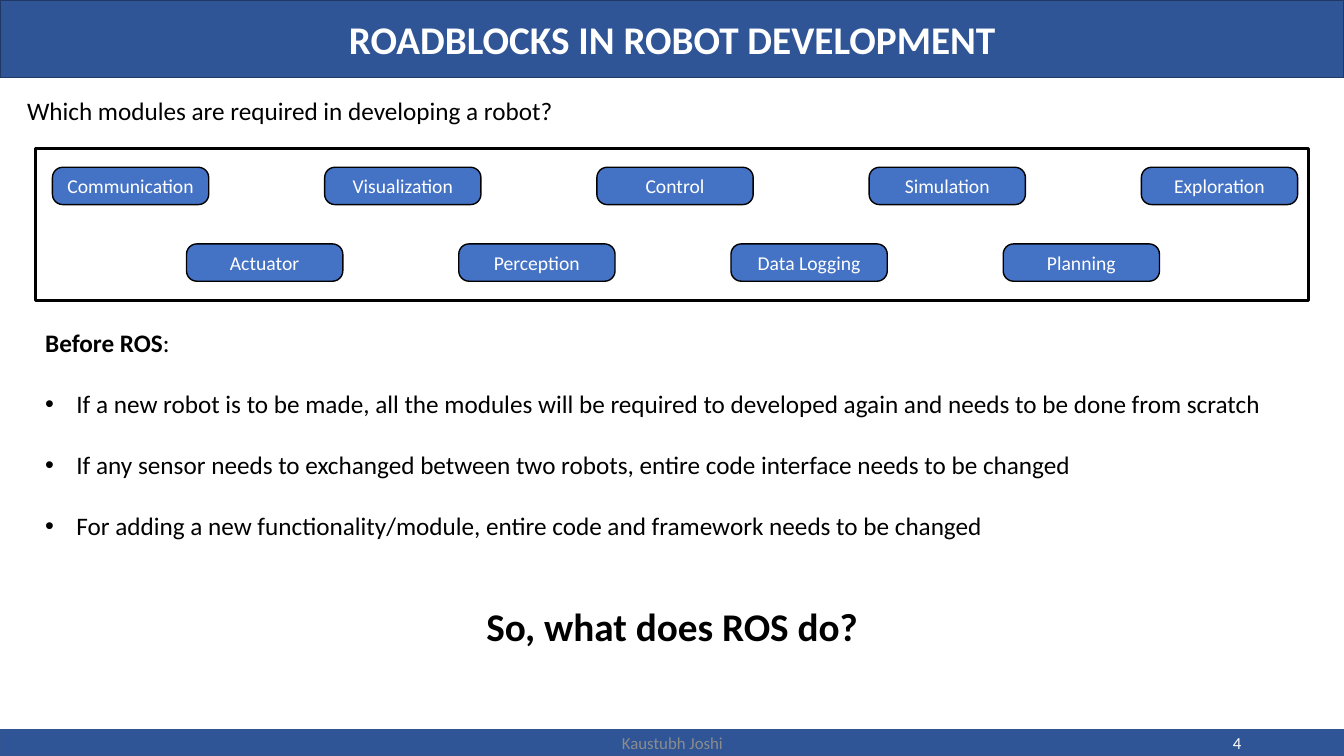
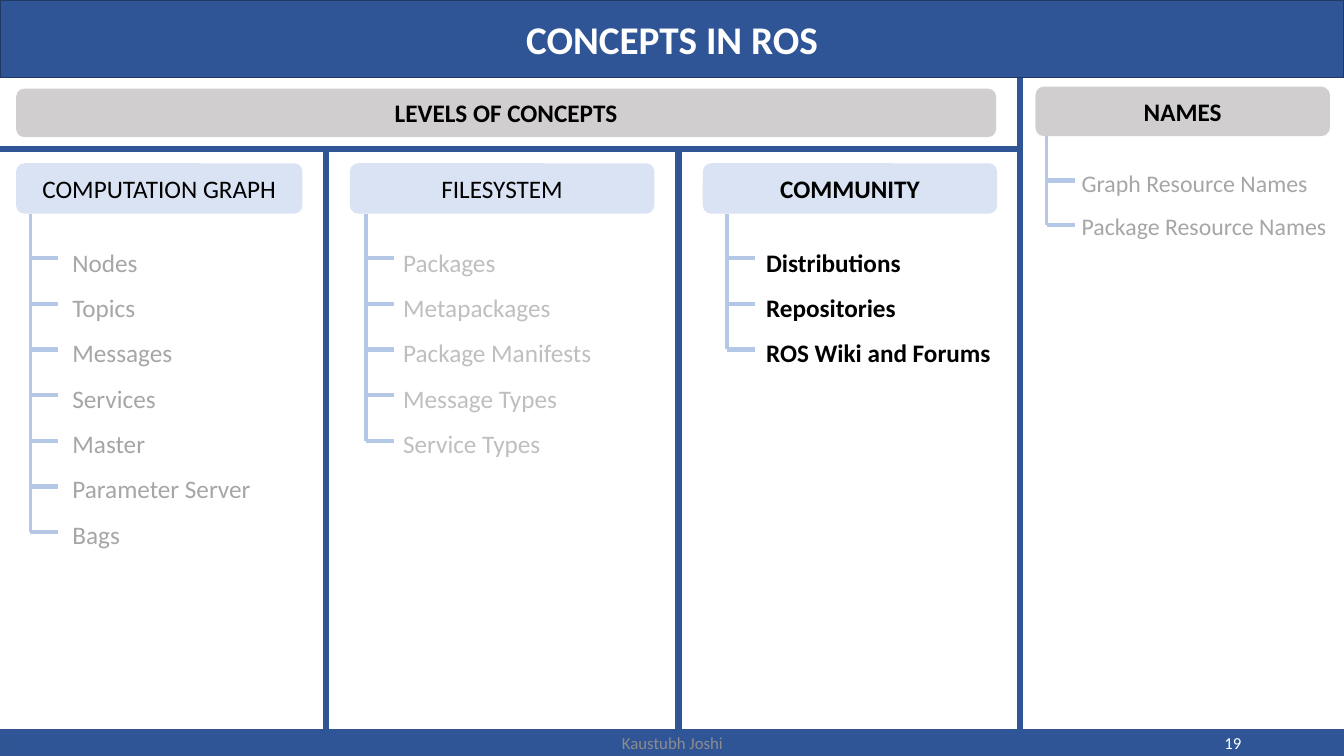
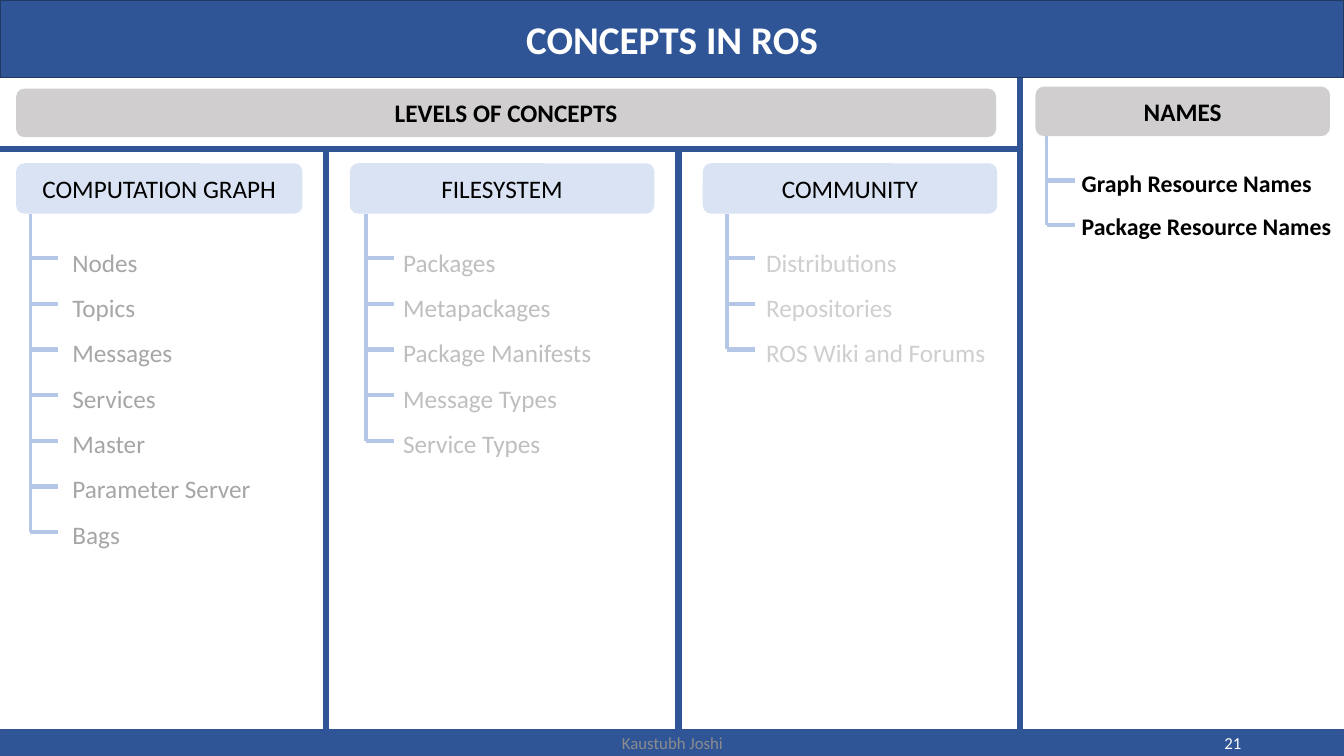
import pptx
import pptx.util
import pptx.dml.color
import pptx.enum.shapes
import pptx.enum.text
import pptx.oxml.ns
from lxml import etree

Inches = pptx.util.Inches
Pt = pptx.util.Pt
SHAPE = pptx.enum.shapes.MSO_SHAPE
ALIGN = pptx.enum.text.PP_ALIGN
MIDDLE = pptx.enum.text.MSO_ANCHOR.MIDDLE

FONT = "Calibri"
COLORS = {
    "band": "2F5597", "title_line": "203864", "footer_line": "325491",
    "button": "4472C4", "level": "DAE3F3", "heading": "D0CECE",
    "branch": "B4C7E7", "black": "000000", "white": "FFFFFF",
    "author": "8C8C8C", "dim": "A6A6A6", "dimmer": "BFBFBF", "dimmest": "D0CECE",
}
SLIDE_W, SLIDE_H = 13.33, 7.5
TITLE_H = 0.77
FOOTER_TOP = 7.24
AUTHOR = "Kaustubh Joshi"

# Column heading: left, width; branches: trunk x, text left, indent, items
LEVELS = {
    "COMPUTATION GRAPH": (0.16, 2.84, 0.3, 0.42, 0.2, "dim", [
        "Nodes", "Topics", "Messages", "Services", "Master",
        "Parameter Server", "Bags"]),
    "FILESYSTEM": (3.47, 3.02, 3.63, 3.9, 0, "dimmer", [
        "Packages", "Metapackages", "Package Manifests", "Message Types",
        "Service Types"]),
    "COMMUNITY": (6.97, 2.92, 7.21, 7.5, 0, "dimmest", [
        "Distributions", "Repositories", "ROS Wiki and Forums"]),
}
NAMES = ["Graph Resource Names", "Package Resource Names"]
ROW_PITCH = 2.72 / 6


def rgb(name):
    return pptx.dml.color.RGBColor.from_string(COLORS[name])


def style_font(font, size, color, bold=False):
    font.name, font.size, font.bold = FONT, Pt(size), bold
    font.color.rgb = rgb(color)


def paint(sp, fill=None, line=None, width=1):
    if fill:
        sp.fill.solid()
        sp.fill.fore_color.rgb = rgb(fill)
    else:
        sp.fill.background()
    if line:
        sp.line.color.rgb = rgb(line)
        sp.line.width = Pt(width)
    else:
        sp.line.fill.background()


def add_box(slide, kind, x, y, w, h, fill=None, line=None, width=1):
    sp = slide.shapes.add_shape(kind, Inches(x), Inches(y), Inches(w), Inches(h))
    sp.shadow.inherit = False
    paint(sp, fill, line, width)
    return sp


def add_chip(slide, label, x, y, w, h, fill, size=18, color="black",
             bold=False, line=None):
    """Rounded box with one centred label."""
    sp = add_box(slide, SHAPE.ROUNDED_RECTANGLE, x, y, w, h, fill, line)
    tf = sp.text_frame
    tf.text = label
    tf.vertical_anchor = MIDDLE
    p = tf.paragraphs[0]
    p.alignment = ALIGN.CENTER
    style_font(p.runs[0].font, size, color, bold)
    return sp


def add_text(slide, lines, x, y, w, h, size=18, color="black", bold=False,
             align=ALIGN.LEFT, spacing=None, anchor=None):
    sp = slide.shapes.add_textbox(Inches(x), Inches(y), Inches(w), Inches(h))
    tf = sp.text_frame
    tf.word_wrap = True
    tf.text = "\n".join(lines)
    if anchor:
        tf.vertical_anchor = anchor
    for p in tf.paragraphs:
        p.alignment = align
        if spacing:
            p.line_spacing = spacing
        for r in p.runs:
            style_font(r.font, size, color, bold)
    return tf


def indent(p, left, hanging=0):
    pPr = p._p.get_or_add_pPr()
    pPr.set("marL", str(Inches(left)))
    pPr.set("indent", str(-Inches(hanging)))
    return pPr


def add_bullet(p):
    pPr = indent(p, 0.31, 0.31)
    etree.SubElement(pPr, pptx.oxml.ns.qn("a:buFont")).set("typeface", "Arial")
    etree.SubElement(pPr, pptx.oxml.ns.qn("a:buChar")).set("char", "•")


def add_line(slide, x1, y1, x2, y2, color, width):
    line = slide.shapes.add_connector(
        pptx.enum.shapes.MSO_CONNECTOR.STRAIGHT,
        Inches(x1), Inches(y1), Inches(x2), Inches(y2))
    line.line.color.rgb = rgb(color)
    line.line.width = Pt(width)
    etree.SubElement(line._element.spPr, pptx.oxml.ns.qn("a:effectLst"))


def add_branches(slide, x, top, first, pitch, count):
    """Vertical trunk with one short branch per item."""
    add_line(slide, x, top, x, first + pitch * (count - 1), "branch", 2.25)
    for i in range(count):
        y = first + pitch * i
        add_line(slide, x, y, x + 0.28, y, "branch", 3)


def new_slide(prs, title, number):
    """Slide with the title band and footer that all slides share."""
    slide = prs.slides.add_slide(prs.slide_layouts[5])
    sp = slide.shapes.title
    sp.left, sp.top = Inches(0), Inches(0)
    sp.width, sp.height = Inches(SLIDE_W), Inches(TITLE_H)
    paint(sp, "band", "title_line")
    tf = sp.text_frame
    tf.text = title
    tf.auto_size = pptx.enum.text.MSO_AUTO_SIZE.NONE
    tf.vertical_anchor = MIDDLE
    p = tf.paragraphs[0]
    p.alignment = ALIGN.CENTER
    style_font(p.runs[0].font, 28, "white", True)

    add_box(slide, SHAPE.RECTANGLE, 0, FOOTER_TOP, SLIDE_W,
            SLIDE_H - FOOTER_TOP, "band", "footer_line")
    add_text(slide, [AUTHOR], 4.42, 7.17, 4.5, 0.4, 12, "author",
             align=ALIGN.CENTER, anchor=MIDDLE)
    add_text(slide, [str(number)], 9.41, 7.17, 3, 0.4, 12, "white",
             align=ALIGN.RIGHT, anchor=MIDDLE)
    return slide


def roadblocks_slide(prs):
    slide = new_slide(prs, "ROADBLOCKS IN ROBOT DEVELOPMENT", 4)
    add_text(slide, ["Which modules are required in developing a robot?"],
             0.17, 0.9, 13, 0.4)

    # Two staggered rows of modules in a frame
    add_box(slide, SHAPE.RECTANGLE, 0.35, 1.47, 12.63, 1.51,
            line="black", width=2.25)
    rows = [
        (0.52, 1.66, ["Communication", "Visualization", "Control",
                      "Simulation", "Exploration"]),
        (1.85, 2.42, ["Actuator", "Perception", "Data Logging", "Planning"]),
    ]
    for left, top, modules in rows:
        for i, module in enumerate(modules):
            sp = add_chip(slide, module, left + 2.7 * i, top, 1.55, 0.37,
                          "button", 14, "white", line="black")
            sp.adjustments[0] = 0.275

    # Problems and closing question
    tf = add_text(slide, [
        "Before ROS",
        "If a new robot is to be made, all the modules will be required to "
        "developed again and needs to be done from scratch",
        "If any sensor needs to exchanged between two robots, entire code "
        "interface needs to be changed",
        "For adding a new functionality/module, entire code and framework "
        "needs to be changed",
        "So, what does ROS do?",
    ], 0.35, 3.2, 12.63, 3.6)
    heading, *problems, question = tf.paragraphs
    heading.runs[0].font.bold = True
    r = heading.add_run()
    r.text = ":"
    style_font(r.font, 18, "black")
    for p in problems:
        p.space_before = Pt(22)
        add_bullet(p)
    question.space_before = Pt(44)
    question.alignment = ALIGN.CENTER
    style_font(question.runs[0].font, 28, "black", True)


def concepts_slide(prs, number, active):
    """Concept map with the items of the active column in bold black."""
    slide = new_slide(prs, "CONCEPTS IN ROS", number)

    # Dividers
    for x, top in [(3.23, 1.48), (6.73, 1.48), (10.12, TITLE_H)]:
        add_line(slide, x, top, x, FOOTER_TOP, "band", 4.5)
    add_line(slide, 0, 1.48, 10.12, 1.48, "band", 4.5)

    # Main headings
    add_chip(slide, "LEVELS OF CONCEPTS", 0.16, 0.88, 9.72, 0.48, "heading",
             bold=True)
    add_chip(slide, "NAMES", 10.27, 0.86, 2.92, 0.49, "heading", bold=True)

    # Columns of levels
    for level, column in LEVELS.items():
        left, width, trunk, text_left, margin, color, items = column
        on = level == active
        add_chip(slide, level, left, 1.62, width, 0.5, "level", bold=on)
        tf = add_text(slide, items, text_left, 2.25, 2.84,
                      0.1 + ROW_PITCH * len(items),
                      color="black" if on else color, bold=on, spacing=1.5)
        for p in tf.paragraphs:
            indent(p, margin)
        add_branches(slide, trunk, 2.12, 2.56, ROW_PITCH, len(items))

    # Names column
    on = active == "NAMES"
    add_text(slide, NAMES, 10.63, 1.48, 2.84, 0.91, 17,
             "black" if on else "dim", on, spacing=1.5)
    add_branches(slide, 10.38, 1.35, 1.79, 0.44, len(NAMES))


def main():
    prs = pptx.Presentation()
    prs.slide_width, prs.slide_height = Inches(SLIDE_W), Inches(SLIDE_H)
    roadblocks_slide(prs)
    concepts_slide(prs, 19, "COMMUNITY")
    concepts_slide(prs, 21, "NAMES")
    prs.save("out.pptx")


if __name__ == "__main__":
    main()
